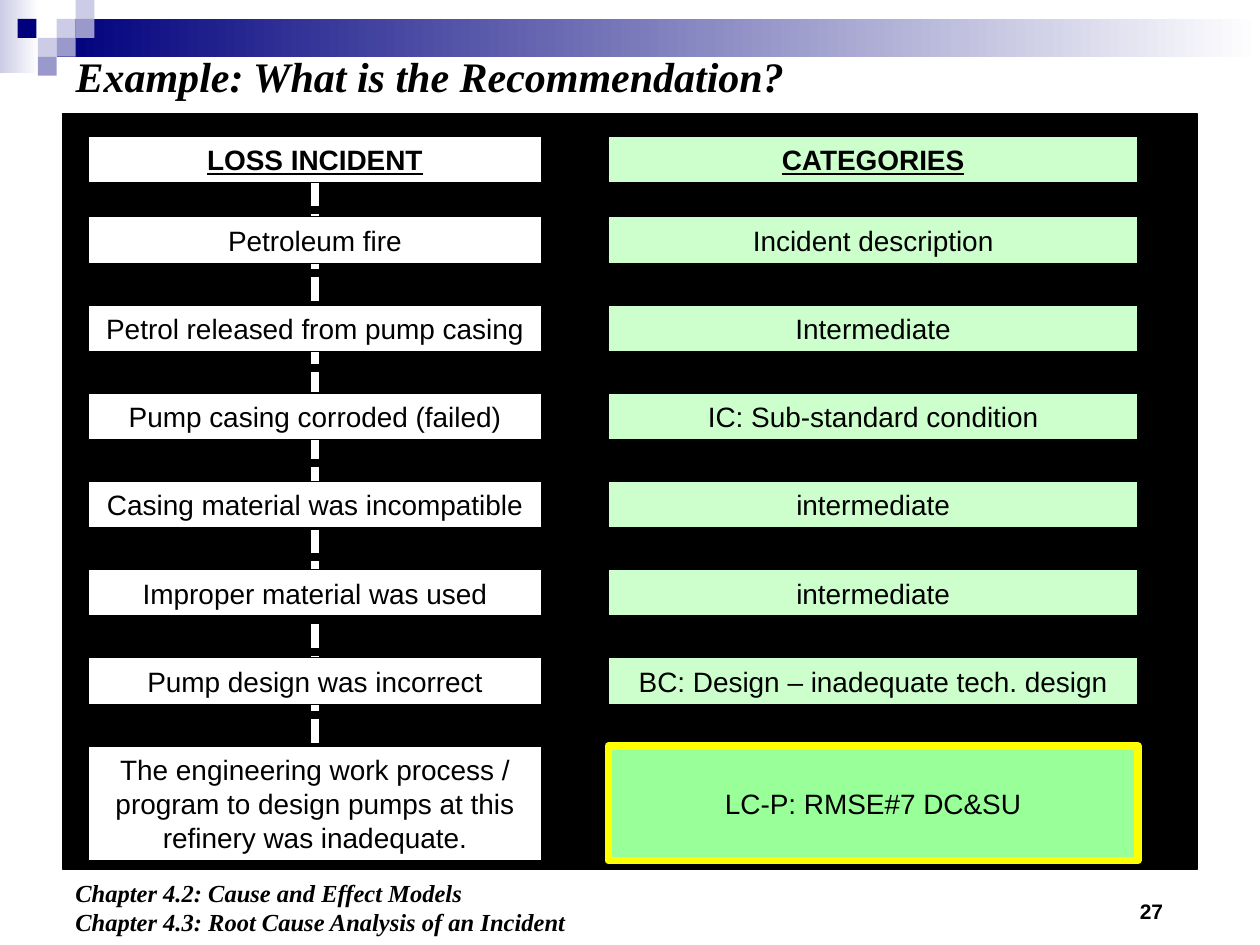
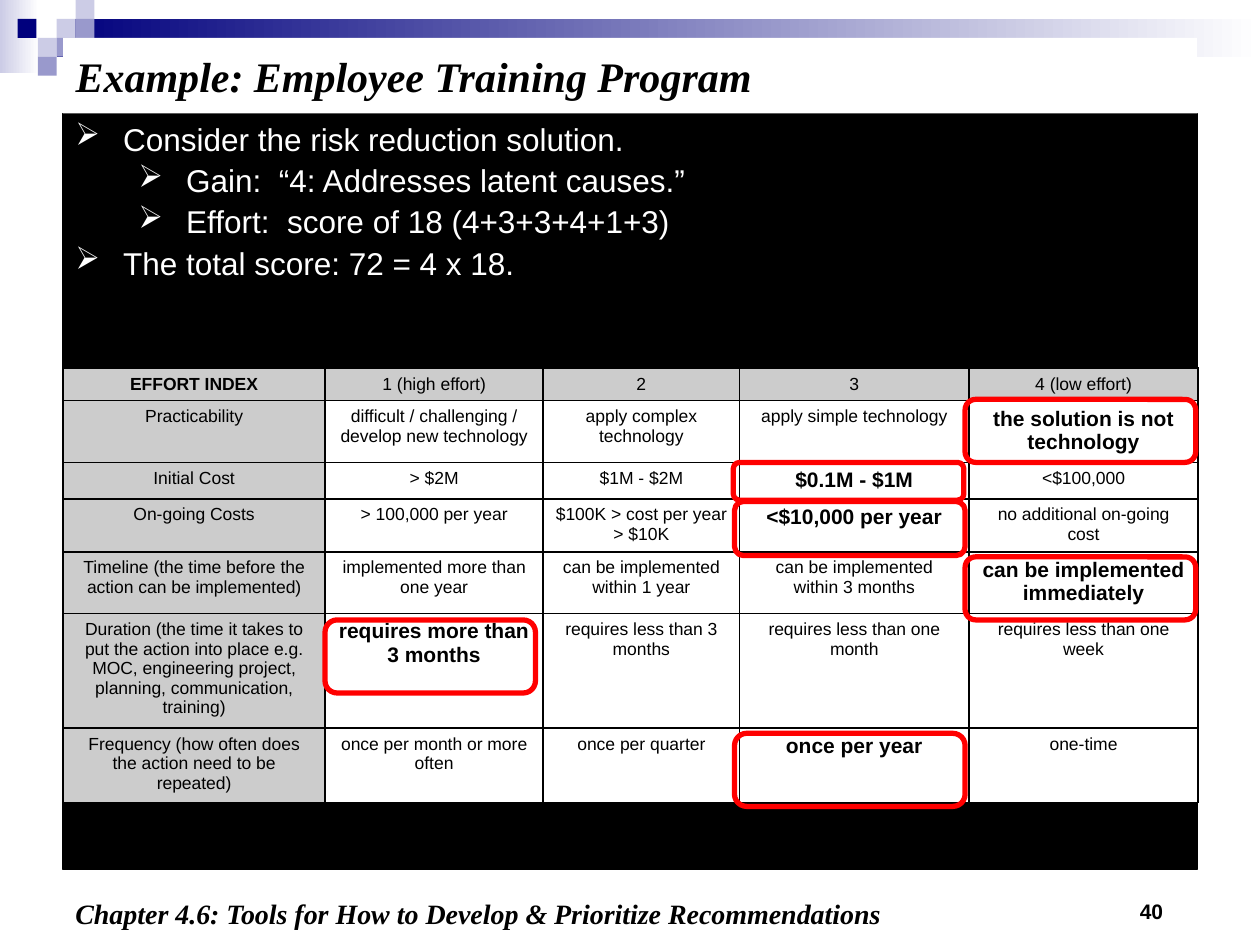
from pptx import Presentation
from pptx.dml.color import RGBColor
from pptx.enum.dml import MSO_LINE
from pptx.enum.shapes import MSO_CONNECTOR, MSO_SHAPE
from pptx.enum.text import MSO_ANCHOR, MSO_AUTO_SIZE, PP_ALIGN
from pptx.oxml.ns import qn
from pptx.util import Inches, Pt
from lxml import etree

RECT, ROUND_RECT = MSO_SHAPE.RECTANGLE, MSO_SHAPE.ROUNDED_RECTANGLE
STRAIGHT = MSO_CONNECTOR.STRAIGHT
DOTTED = MSO_LINE.SQUARE_DOT
TOP, MIDDLE = MSO_ANCHOR.TOP, MSO_ANCHOR.MIDDLE
LEFT, CENTER, RIGHT = PP_ALIGN.LEFT, PP_ALIGN.CENTER, PP_ALIGN.RIGHT
NO_FIT = MSO_AUTO_SIZE.NONE

BLACK = RGBColor(0x00, 0x00, 0x00)
WHITE = RGBColor(0xFF, 0xFF, 0xFF)
NAVY = RGBColor(0x00, 0x00, 0x7D)
LAVENDER = RGBColor(0xCC, 0xCC, 0xE6)
PERIWINKLE = RGBColor(0x99, 0x99, 0xCC)
PALE_GREEN = RGBColor(0xCC, 0xFF, 0xCC)
GREEN = RGBColor(0x99, 0xFF, 0x99)
YELLOW = RGBColor(0xFF, 0xFF, 0x00)
GREY = RGBColor(0xCC, 0xCC, 0xCC)
RED = RGBColor(0xFF, 0x00, 0x00)

SANS, SERIF = "Arial", "Times New Roman"
COLUMNS, ROWS = 10, 7.5
PANEL = (0.5, 0.9, 9, 6)
TILE = 0.15
TILES = [(3, 1, LAVENDER), (4, 0, LAVENDER), (4, 1, PERIWINKLE),
         (2, 2, LAVENDER), (0.93, 1, NAVY), (3, 2, PERIWINKLE),
         (2, 3, PERIWINKLE)]

CAUSE_CHAIN = [
    ("Petroleum fire", "Incident description"),
    ("Petrol released from pump casing", "Intermediate"),
    ("Pump casing corroded (failed)", "IC: Sub-standard condition"),
    ("Casing material was incompatible", "intermediate"),
    ("Improper material was used", "intermediate"),
    ("Pump design was incorrect", "BC: Design – inadequate tech. design"),
]
ROOT_CAUSE = ("The engineering work process / program to design pumps "
              "at this refinery was inadequate.")

SCORING = [(0, "Consider the risk reduction solution."),
           (1, "Gain:  “4: Addresses latent causes.”"),
           (1, "Effort:  score of 18 (4+3+3+4+1+3)"),
           (0, "The total score: 72 = 4 x 18.")]

EFFORT_INDEX = [
    ["EFFORT INDEX", "1 (high effort)", "2", "3", "4 (low effort)"],
    ["Practicability", "difficult / challenging / develop new technology",
     "apply complex technology", "apply simple technology",
     "the solution is not technology"],
    ["Initial Cost", "> $2M", "$1M - $2M", "$0.1M - $1M", "<$100,000"],
    ["On-going Costs", "> 100,000 per year", "$100K > cost per year > $10K",
     "<$10,000 per year", "no additional on-going cost"],
    ["Timeline (the time before the action can be implemented)",
     "implemented more than one year", "can be implemented within 1 year",
     "can be implemented within 3 months", "can be implemented immediately"],
    ["Duration (the time it takes to put the action into place e.g. MOC, "
     "engineering project, planning, communication, training)",
     "requires more than 3 months", "requires less than 3 months",
     "requires less than one month", "requires less than one week"],
    ["Frequency (how often does the action need to be repeated)",
     "once per month or more often", "once per quarter", "once per year",
     "one-time"],
]
EFFORT_WIDTHS = [2.08, 1.73, 1.56, 1.82, 1.82]
EFFORT_HEIGHTS = [0.26, 0.49, 0.29, 0.42, 0.49, 0.91, 0.59]
# Score chosen in each row, with the place of the ring around it
CHOSEN = {(1, 4): (7.66, 3.17, 1.83, 0.5), (2, 3): (5.82, 3.67, 1.83, 0.3),
          (3, 3): (5.83, 3.98, 1.83, 0.43), (4, 4): (7.66, 4.42, 1.83, 0.5),
          (5, 1): (2.58, 4.92, 1.67, 0.58), (6, 3): (5.83, 5.82, 1.83, 0.58)}


class Deck:
    def __init__(self):
        self.prs = Presentation()
        self.prs.slide_width = Inches(10)
        self.prs.slide_height = Inches(7.5)
        self.layout = self.prs.slide_layouts[5]
        self.slide = None

    def x(self, columns):
        return round(self.prs.slide_width * columns / COLUMNS)

    def y(self, rows):
        return round(self.prs.slide_height * rows / ROWS)

    def grid(self, left, top, width, height):
        return self.x(left), self.y(top), self.x(width), self.y(height)

    def set_text(self, tf, lines, size, font=SANS, color=BLACK, align=LEFT,
                 anchor=TOP, bold=False, italic=False, underline=False):
        tf.word_wrap = True
        tf.auto_size = NO_FIT
        tf.vertical_anchor = anchor
        tf.text = "\n".join(lines)
        for p in tf.paragraphs:
            p.alignment = align
            for r in p.runs:
                f = r.font
                f.name, f.size, f.color.rgb = font, Pt(size), color
                f.bold, f.italic, f.underline = bold, italic, underline

    def shape(self, place, fill=None, line=None, width=0.75, kind=RECT):
        sp = self.slide.shapes.add_shape(kind, *self.grid(*place))
        sp.shadow.inherit = False
        if fill is None:
            sp.fill.background()
        else:
            sp.fill.solid()
            sp.fill.fore_color.rgb = fill
        if line is None:
            sp.line.fill.background()
        else:
            sp.line.color.rgb = line
            sp.line.width = Pt(width)
        return sp

    def fade(self, place, color):
        sp = self.shape(place)
        sp.fill.gradient()
        sp.fill.gradient_angle = 0
        ends = ((0, color), (1, WHITE))
        for stop, (position, rgb) in zip(sp.fill.gradient_stops, ends):
            stop.position = position
            stop.color.rgb = rgb
        return sp

    def decorate_layout(self):
        """Draw the band and tiles, then hand them to the shared layout."""
        art = [self.fade((0, 0, 0.31, 0.58), LAVENDER),
               self.fade((0.45, TILE, 9.55, 2 * TILE), NAVY)]
        art += [self.shape((col * TILE, row * TILE, TILE, TILE), color)
                for col, row, color in TILES]
        for sp in art:
            self.layout.shapes.element.append(sp.element)

    def new_slide(self, number):
        first = self.slide is None
        self.slide = self.prs.slides.add_slide(self.layout)
        if first:
            self.decorate_layout()
        self.text((8.33, 7.08, 1, 0.25), [str(number)], 12, align=RIGHT,
                  bold=True)

    def title(self, text, fill=None):
        """Place the title in front of everything drawn so far."""
        sp = self.slide.shapes.title
        sp.left, sp.top, sp.width, sp.height = self.grid(0.5, 0.3, 9, 0.6)
        if fill is not None:
            sp.fill.solid()
            sp.fill.fore_color.rgb = fill
        self.set_text(sp.text_frame, [text], 24, SERIF, anchor=MIDDLE,
                      bold=True, italic=True)
        sp.element.getparent().append(sp.element)

    def text(self, place, lines, size, **style):
        sp = self.slide.shapes.add_textbox(*self.grid(*place))
        self.set_text(sp.text_frame, lines, size, **style)
        return sp.text_frame

    def chapters(self, place, lines, size, anchor=TOP):
        return self.text(place, lines, size, font=SERIF, anchor=anchor,
                         bold=True, italic=True)

    def box(self, place, text, fill, line=BLACK, width=0.75, **style):
        sp = self.shape(place, fill, line, width)
        self.set_text(sp.text_frame, [text], 16, align=CENTER, anchor=MIDDLE,
                      **style)

    def dotted_line(self, column, top, bottom):
        line = self.slide.shapes.add_connector(
            STRAIGHT, self.x(column), self.y(top), self.x(column),
            self.y(bottom))
        line.line.color.rgb = WHITE
        line.line.width = Pt(4.5)
        line.line.dash_style = DOTTED
        etree.SubElement(line.element.spPr, qn("a:effectLst"))

    def bullets(self, sp, items, size):
        tf = sp.text_frame
        self.set_text(tf, [text for _, text in items], size, color=WHITE)
        for p, (level, _) in zip(tf.paragraphs, items):
            p.level = level
            p.space_after = Pt(2)
            pPr = p._p.get_or_add_pPr()
            pPr.set("marL", str(self.x(0.38 + 0.5 * level)))
            pPr.set("indent", str(-self.x(0.38)))
            etree.SubElement(pPr, qn("a:buChar"), char="➢")

    def cell_borders(self, cell):
        tcPr = cell._tc.get_or_add_tcPr()
        for side in ("lnL", "lnR", "lnT", "lnB"):
            ln = etree.SubElement(tcPr, qn(f"a:{side}"), w=str(Pt(1)))
            fill = etree.SubElement(ln, qn("a:solidFill"))
            etree.SubElement(fill, qn("a:srgbClr"), val=str(BLACK))

    def table(self, left, top, rows, widths, heights, chosen):
        place = self.grid(left, top, sum(widths), sum(heights))
        table = self.slide.shapes.add_table(len(rows), len(widths),
                                            *place).table
        for column, width in zip(table.columns, widths):
            column.width = self.x(width)
        for row, height in zip(table.rows, heights):
            row.height = self.y(height)
        for i, row in enumerate(rows):
            for j, text in enumerate(row):
                cell = table.cell(i, j)
                picked = (i, j) in chosen
                self.cell_borders(cell)
                cell.fill.solid()
                cell.fill.fore_color.rgb = WHITE if i and j else GREY
                self.set_text(cell.text_frame, [text], 12 if picked else 10,
                              align=CENTER, bold=picked or i == j == 0)
                cell.vertical_anchor = TOP


def recommendation_slide(deck):
    deck.new_slide(27)
    deck.shape(PANEL, BLACK, BLACK)
    deck.dotted_line(2.5, 1.45, 5.92)
    deck.chapters((0.5, 6.9, 4.5, 0.6),
                  ["Chapter 4.2: Cause and Effect Models",
                   "Chapter 4.3: Root Cause Analysis of an Incident"],
                  14, MIDDLE)
    deck.title("Example: What is the Recommendation?")

    def incident(top, height=0.37):
        return 0.7, top, 3.6, height

    def category(top, height=0.37):
        return 4.83, top, 4.2, height

    heading = {"bold": True, "underline": True}
    deck.box(incident(1.08), "LOSS INCIDENT", WHITE, **heading)
    deck.box(category(1.08), "CATEGORIES", PALE_GREEN, **heading)
    first, step = 1.72, 0.7
    for i, (event, kind) in enumerate(CAUSE_CHAIN):
        deck.box(incident(first + step * i), event, WHITE)
        deck.box(category(first + step * i), kind, PALE_GREEN)
    last = first + step * len(CAUSE_CHAIN)
    deck.box(incident(last, 0.91), ROOT_CAUSE, WHITE)
    deck.box(category(last, 0.91), "LC-P: RMSE#7 DC&SU", GREEN, YELLOW, 4.5)


def training_slide(deck):
    deck.new_slide(40)
    deck.bullets(deck.shape(PANEL, BLACK, BLACK), SCORING, 18)
    deck.table(0.5, 2.92, EFFORT_INDEX, EFFORT_WIDTHS, EFFORT_HEIGHTS, CHOSEN)
    for place in CHOSEN.values():
        deck.shape(place, line=RED, width=3, kind=ROUND_RECT)
    deck.title("Example: Employee Training Program", WHITE)
    tf = deck.chapters((0.5, 7.1, 6.7, 0.4),
                       ["Chapter 4.6: Tools for How to Develop & Prioritize "
                        "Recommendations"], 16)
    tf.paragraphs[0].line_spacing = 0.9


def main():
    deck = Deck()
    recommendation_slide(deck)
    training_slide(deck)
    deck.prs.save("out.pptx")


if __name__ == "__main__":
    main()
